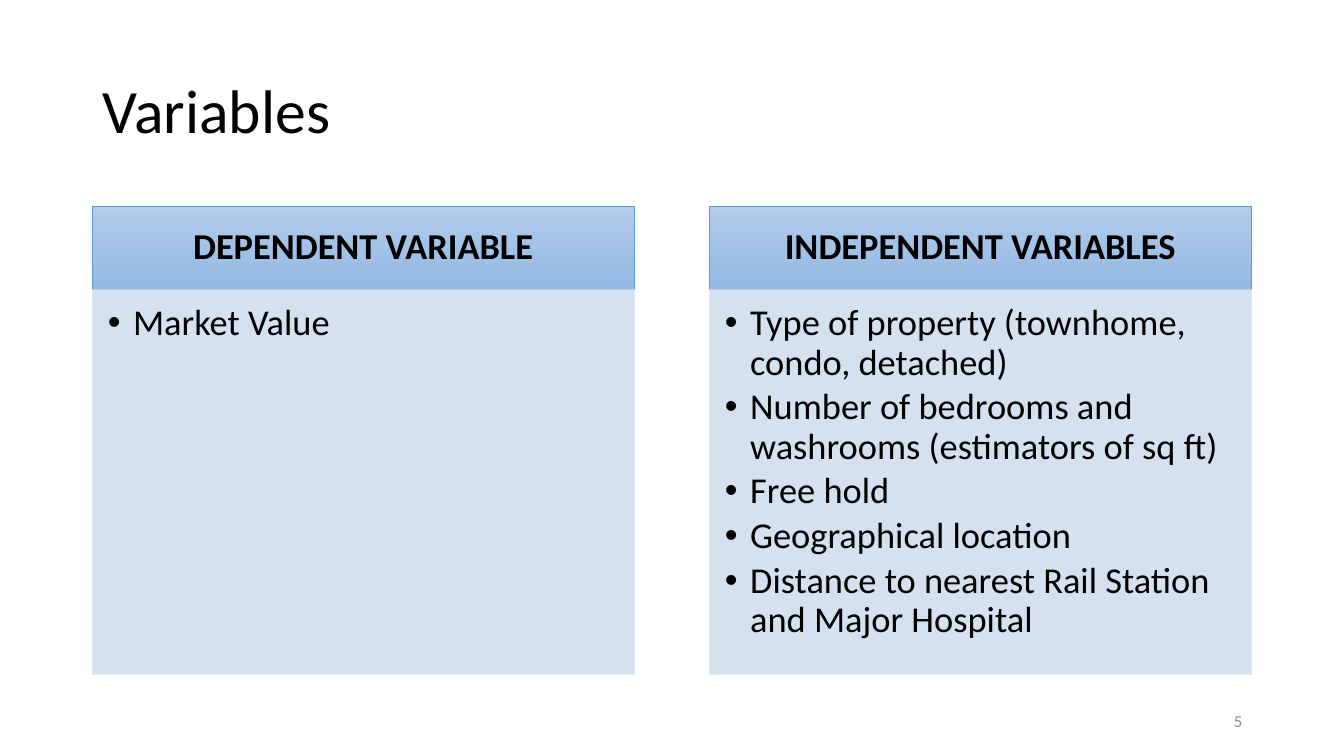
import pptx
import pptx.util
import pptx.dml.color
import pptx.enum.text
import pptx.oxml
import pptx.oxml.ns
from pptx.util import Inches

COLORS = {
    "text": "000000",
    "page number": "8C8C8C",
    "header top": "B1CBE9",
    "header bottom": "93B9E4",
    "header line": "5B9BD5",
    "panel": "D2DEEF",
}
ALIGN = pptx.enum.text.PP_ALIGN
ANCHOR = pptx.enum.text.MSO_ANCHOR


def rgb(name):
    return pptx.dml.color.RGBColor.from_string(COLORS[name])


def write(shape, lines, size=26, color="text", bold=False, align=ALIGN.LEFT,
          anchor=ANCHOR.MIDDLE, margins=(0.1, 0.05, 0.1, 0.05), space_after=0,
          line_spacing=0.9, bullet=False):
    frame = shape.text_frame
    frame.text = "\n".join(lines)
    frame.word_wrap = True
    frame.auto_size = pptx.enum.text.MSO_AUTO_SIZE.NONE
    frame.vertical_anchor = anchor
    frame.margin_left, frame.margin_top, frame.margin_right, frame.margin_bottom = map(Inches, margins)
    for paragraph in frame.paragraphs:
        paragraph.alignment = align
        paragraph.line_spacing = line_spacing
        paragraph.space_before = pptx.util.Pt(0)
        paragraph.space_after = pptx.util.Pt(space_after)
        font = paragraph.runs[0].font
        font.name = "Calibri"
        font.size = pptx.util.Pt(size)
        font.bold = bold
        font.color.rgb = rgb(color)
        if bullet:
            properties = paragraph._p.get_or_add_pPr()
            properties.set("marL", str(Inches(0.25)))
            properties.set("indent", str(Inches(-0.25)))
            namespace = pptx.oxml.ns.nsdecls("a")
            properties.append(pptx.oxml.parse_xml(f'<a:buFont {namespace} typeface="Arial"/>'))
            properties.append(pptx.oxml.parse_xml(f'<a:buChar {namespace} char="•"/>'))


presentation = pptx.Presentation()
presentation.slide_width = Inches(13.33)
presentation.slide_height = Inches(7.5)
slide = presentation.slides.add_slide(presentation.slide_layouts.get_by_name("Comparison"))

title = slide.shapes.title
title.left, title.top, title.width, title.height = map(Inches, (0.92, 0.4, 11.5, 1.45))
write(title, ["Variables"], size=44)

columns = [
    ("DEPENDENT VARIABLE", ["Market Value"]),
    ("INDEPENDENT VARIABLES", [
        "Type of property (townhome, condo, detached)",
        "Number of bedrooms and washrooms (estimators of sq ft)",
        "Free hold",
        "Geographical location",
        "Distance to nearest Rail Station and Major Hospital",
    ]),
]
for index, (heading, items) in enumerate(columns):
    header = slide.placeholders[1 + 2 * index]
    panel = slide.placeholders[2 + 2 * index]
    for shape, top, height in ((header, 2.05, 0.82), (panel, 2.87, 3.82)):
        shape.left, shape.top = Inches(0.92 + 6.12 * index), Inches(top)
        shape.width, shape.height = Inches(5.37), Inches(height)
        shape.line.width = pptx.util.Pt(0.5)

    header.fill.gradient()
    header.fill.gradient_angle = 270
    for stop, name in zip(header.fill.gradient_stops, ("header top", "header bottom")):
        stop.color.rgb = rgb(name)
    header.line.color.rgb = rgb("header line")
    write(header, [heading], bold=True, align=ALIGN.CENTER, margins=(0.2, 0.12, 0.2, 0.12))

    panel.fill.solid()
    panel.fill.fore_color.rgb = rgb("panel")
    panel.line.color.rgb = rgb("panel")
    for color in panel._element.spPr.iter(pptx.oxml.ns.qn("a:srgbClr")):
        color.append(pptx.oxml.parse_xml(f'<a:alpha {pptx.oxml.ns.nsdecls("a")} val="90000"/>'))
    write(panel, items, anchor=ANCHOR.TOP, margins=(0.15, 0.15, 0.2, 0.23),
          space_after=3.9, bullet=True)

page_number = slide.shapes.add_textbox(Inches(9.42), Inches(6.95), Inches(3), Inches(0.4))
write(page_number, ["5"], size=12, color="page number", align=ALIGN.RIGHT, line_spacing=1.0)

presentation.save("out.pptx")
